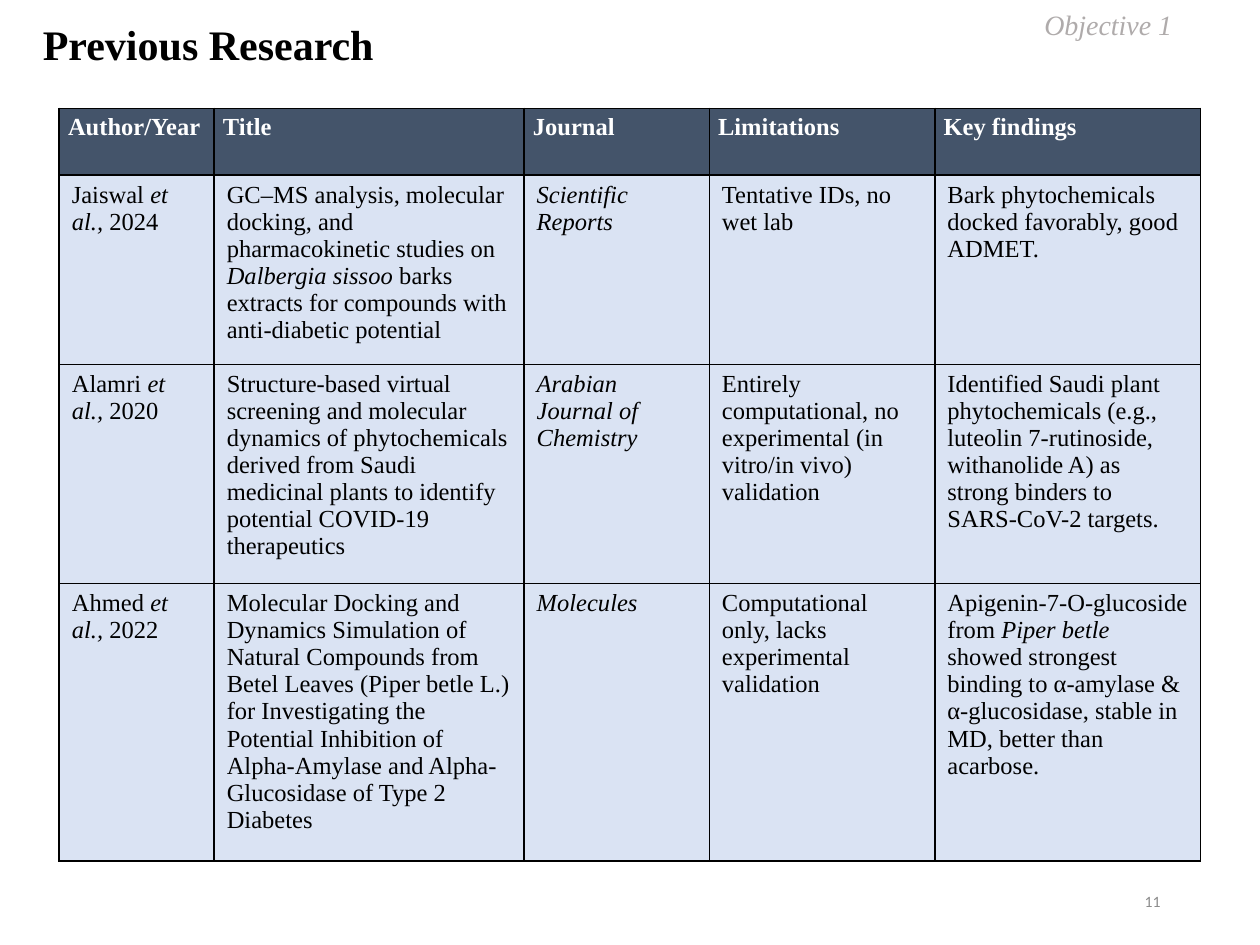
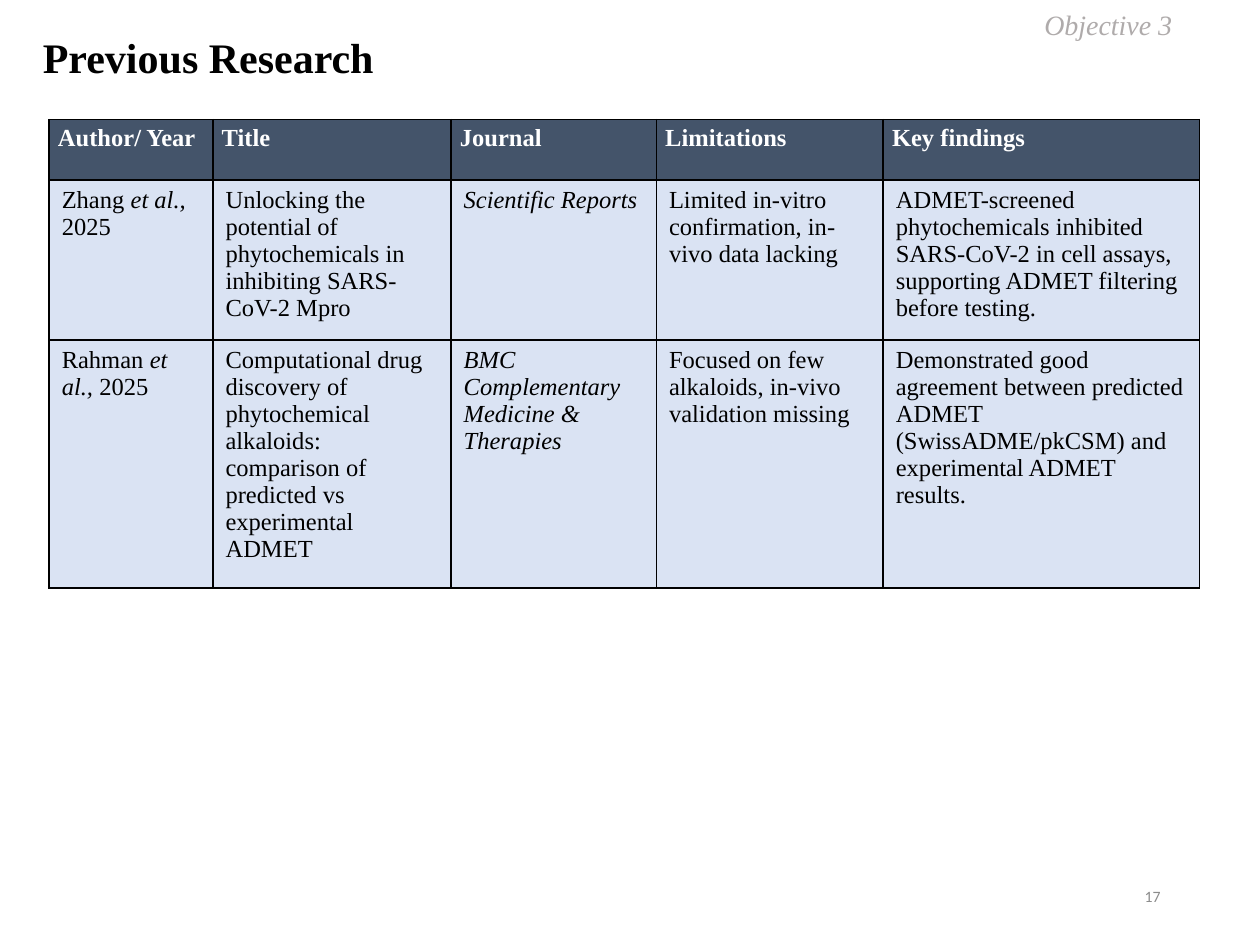
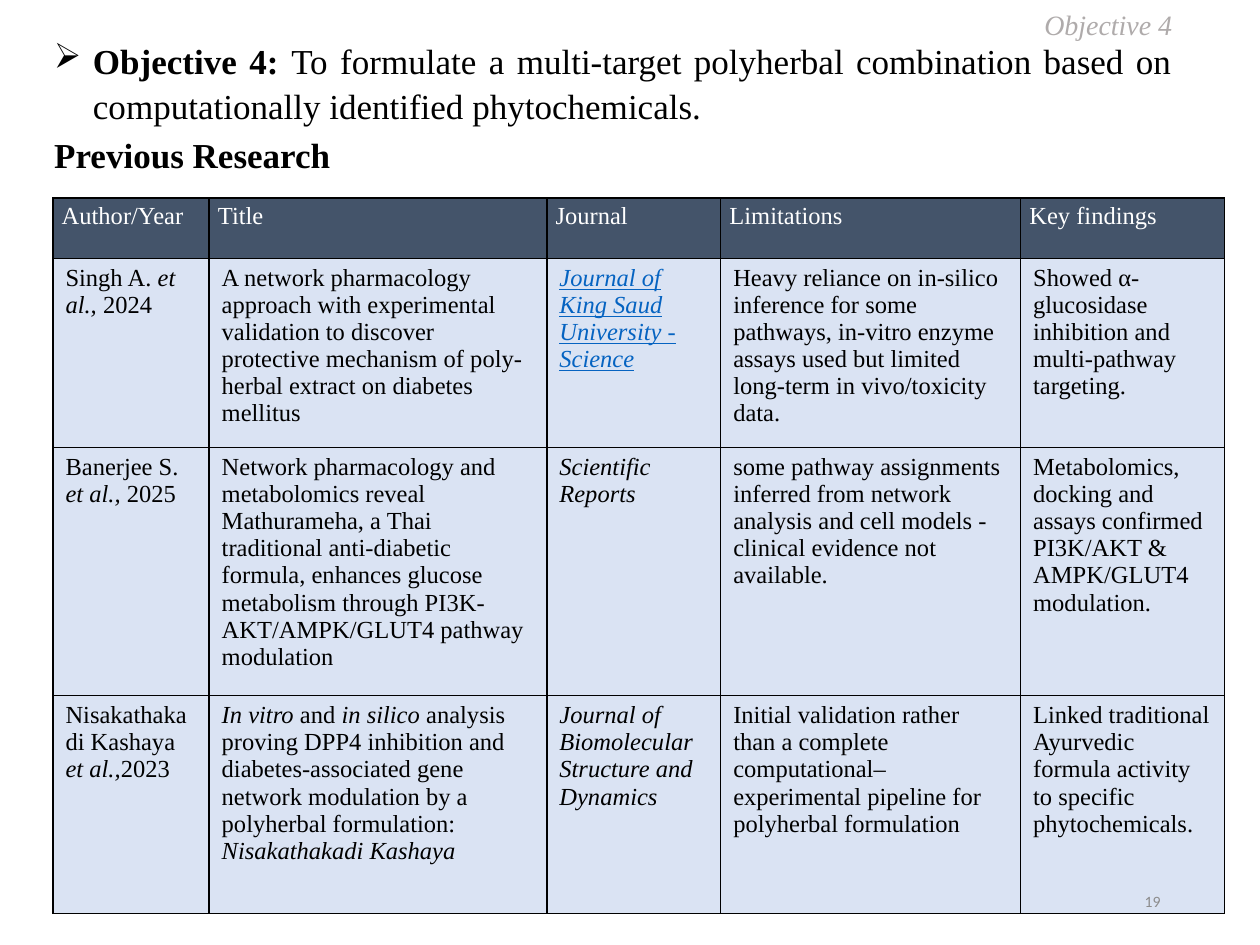
from dataclasses import dataclass

from lxml import etree
from pptx import Presentation
from pptx.dml.color import RGBColor
from pptx.enum.text import MSO_ANCHOR, MSO_AUTO_SIZE, PP_ALIGN
from pptx.oxml.ns import qn
from pptx.util import Inches, Pt

TOP, MIDDLE = MSO_ANCHOR.TOP, MSO_ANCHOR.MIDDLE
LEFT, RIGHT, JUSTIFY = PP_ALIGN.LEFT, PP_ALIGN.RIGHT, PP_ALIGN.JUSTIFY
GROW = MSO_AUTO_SIZE.SHAPE_TO_FIT_TEXT
TITLE_ONLY = 5

# Shared look
SERIF, SANS = "Times New Roman", "Calibri"
BLACK, WHITE, GREY, TAG_GREY = "000000", "FFFFFF", "8C8C8C", "AFABAB"
HEADER_FILL, BODY_FILL, LINK_BLUE = "44546A", "DAE3F3", "0563C1"
HEADER_MARGINS = {"margin_left": 0.07, "margin_right": 0.07, "margin_top": 0.04, "margin_bottom": 0.04}
BODY_MARGINS = {"margin_left": 0.1, "margin_right": 0.1, "margin_top": 0.05, "margin_bottom": 0.05}

BODY = {"name": SERIF, "size": Pt(14), "bold": False, "color": BLACK}
TAG = {"name": SERIF, "size": Pt(16), "italic": True, "color": TAG_GREY}
NUMBER = {"name": SANS, "size": Pt(9), "color": GREY}
OBJECTIVE = {"name": SERIF, "size": Pt(20), "color": BLACK}
# Marks inside cell text and the format each one switches on
MARKS = {"*": {"italic": True}, "^": {"italic": True, "underline": True, "color": LINK_BLUE}}

Box = tuple[float, float, float, float]


@dataclass
class ResearchSlide:
    number: str
    number_top: float
    objective: str
    title_box: Box
    title_size: int
    table_at: tuple[float, float]
    columns: list[float]
    heights: list[float]
    author_head: str
    studies: list[list[str]]
    header_bold: bool = True
    statement: tuple[str, str] | None = None


SLIDES = [
    ResearchSlide(
        "11", 6.95, "Objective 1", (0.24, 0.1, 2.85, 0.5), 24, (0.47, 0.86),
        [1.23, 2.46, 1.47, 1.79, 2.11], [0.53, 1.5, 1.74, 2.2], "Author/Year",
        [
            ["Jaiswal *et al.,* 2024",
             "GC–MS analysis, molecular docking, and pharmacokinetic studies on *Dalbergia sissoo* barks "
             "extracts for compounds with anti-diabetic potential",
             "*Scientific Reports*", "Tentative IDs, no wet lab",
             "Bark phytochemicals docked favorably, good ADMET."],
            ["Alamri *et al.,* 2020",
             "Structure-based virtual screening and molecular dynamics of phytochemicals derived from Saudi "
             "medicinal plants to identify potential COVID-19 therapeutics",
             "*Arabian Journal of Chemistry*",
             "Entirely computational, no experimental (in vitro/in vivo) validation",
             "Identified Saudi plant phytochemicals (e.g., luteolin 7-rutinoside, withanolide A) as strong "
             "binders to SARS-CoV-2 targets."],
            ["Ahmed *et al.,* 2022",
             "Molecular Docking and Dynamics Simulation of Natural Compounds from Betel Leaves (Piper betle L.) "
             "for Investigating the Potential Inhibition of Alpha-Amylase and Alpha-Glucosidase of Type 2 Diabetes",
             "*Molecules*", "Computational only, lacks experimental validation",
             "Apigenin-7-O-glucoside from *Piper betle* showed strongest binding to α-amylase & α-glucosidase, "
             "stable in MD, better than acarbose."],
        ],
    ),
    ResearchSlide(
        "17", 6.91, "Objective 3", (0.24, 0.2, 2.85, 0.5), 24, (0.39, 0.95),
        [1.3, 1.89, 1.63, 1.8, 2.51], [0.48, 1.26, 1.97], "Author/ Year",
        [
            ["Zhang *et al.,* 2025",
             "Unlocking the potential of phytochemicals in inhibiting SARS-CoV-2 Mpro",
             "*Scientific Reports*", "Limited in-vitro confirmation, in-vivo data lacking",
             "ADMET-screened phytochemicals inhibited SARS-CoV-2 in cell assays, supporting ADMET filtering "
             "before testing."],
            ["Rahman *et al.,* 2025",
             "Computational drug discovery of phytochemical alkaloids: comparison of predicted vs experimental ADMET",
             "*BMC Complementary Medicine & Therapies*",
             "Focused on few alkaloids, in-vivo validation missing",
             "Demonstrated good agreement between predicted ADMET (SwissADME/pkCSM) and experimental ADMET results."],
        ],
    ),
    ResearchSlide(
        "19", 6.95, "Objective 4", (0.33, 1.01, 2.41, 0.44), 20, (0.42, 1.57),
        [1.24, 2.68, 1.38, 2.38, 1.62], [0.48, 1.5, 1.97, 1.73], "Author/Year",
        [
            ["Singh A.* et al.,* 2024",
             "A network pharmacology approach with experimental validation to discover protective mechanism of "
             "poly-herbal extract on diabetes mellitus",
             "^Journal of King Saud University - Science^",
             "Heavy reliance on in-silico inference for some pathways, in-vitro enzyme assays used but limited "
             "long-term in vivo/toxicity data.",
             "Showed α-glucosidase inhibition and multi-pathway targeting."],
            ["Banerjee S.* et al.,* 2025",
             "Network pharmacology and metabolomics reveal Mathurameha, a Thai traditional anti-diabetic formula, "
             "enhances glucose metabolism through PI3K-AKT/AMPK/GLUT4 pathway modulation",
             "*Scientific Reports*",
             "some pathway assignments inferred from network analysis and cell models - clinical evidence not "
             "available.",
             "Metabolomics, docking and assays confirmed PI3K/AKT & AMPK/GLUT4 modulation."],
            ["Nisakathakadi Kashaya *et al.,*2023",
             "*In vitro* and *in silico* analysis proving DPP4 inhibition and diabetes-associated gene network "
             "modulation by a polyherbal formulation: *Nisakathakadi Kashaya*",
             "*Journal of Biomolecular Structure and Dynamics*",
             "Initial validation rather than a complete computational–experimental pipeline for polyherbal "
             "formulation",
             "Linked traditional Ayurvedic formula activity to specific phytochemicals."],
        ],
        header_bold=False,
        statement=("Objective 4: ", "To formulate a multi-target polyherbal combination based on "
                                    "computationally identified phytochemicals."),
    ),
]


def rgb(color: str) -> RGBColor:
    return RGBColor.from_string(color)


def add_run(p, text: str, fmt: dict) -> None:
    r = p.add_run()
    r.text = text
    for key, value in fmt.items():
        if key == "color":
            r.font.color.rgb = rgb(value)
        else:
            setattr(r.font, key, value)


def add_marked_text(p, text: str, fmt: dict) -> None:
    """Add runs, switching a format on and off at each mark."""
    mark = next((m for m in MARKS if m in text), "*")
    for i, part in enumerate(text.split(mark)):
        if part:
            add_run(p, part, fmt | MARKS[mark] if i % 2 else fmt)


def add_text(s, box: Box, text: str, fmt: dict, align=LEFT, **frame):
    sp = s.shapes.add_textbox(*map(Inches, box))
    for key, value in frame.items():
        setattr(sp.text_frame, key, value)
    p = sp.text_frame.paragraphs[0]
    p.alignment = align
    add_run(p, text, fmt)
    return p


def add_border(cell) -> None:
    tcPr = cell._tc.get_or_add_tcPr()
    for i, side in enumerate(("lnL", "lnR", "lnT", "lnB")):
        ln = etree.Element(qn(f"a:{side}"), w=str(Pt(1)))
        fill = etree.SubElement(ln, qn("a:solidFill"))
        etree.SubElement(fill, qn("a:srgbClr"), val=BLACK)
        tcPr.insert(i, ln)


def add_title(s, item: ResearchSlide) -> None:
    sp = s.shapes.title
    sp.left, sp.top, sp.width, sp.height = map(Inches, item.title_box)
    tf = sp.text_frame
    for key, value in {"word_wrap": False, "auto_size": GROW, "vertical_anchor": TOP}.items():
        setattr(tf, key, value)
    p = tf.paragraphs[0]
    p.alignment = LEFT
    add_run(p, "Previous Research", {"name": SERIF, "size": Pt(item.title_size), "bold": True, "color": BLACK})


def add_statement(s, label: str, text: str) -> None:
    p = add_text(s, (0.33, 0.24, 9.07, 1.11), label, OBJECTIVE | {"bold": True}, JUSTIFY, word_wrap=True)
    pPr = p._p.get_or_add_pPr()
    pPr.set("marL", str(Inches(0.31)))
    pPr.set("indent", str(Inches(-0.31)))
    etree.SubElement(pPr, qn("a:buChar"), char="➢")
    p.line_spacing = 1.07
    add_run(p, text, OBJECTIVE)


def add_studies(s, item: ResearchSlide) -> None:
    rows = [[item.author_head, "Title", "Journal", "Limitations", "Key findings"], *item.studies]
    size = sum(item.columns), sum(item.heights)
    table = s.shapes.add_table(len(rows), len(item.columns), *map(Inches, item.table_at + size)).table
    for column, width in zip(table.columns, item.columns):
        column.width = Inches(width)
    for row, height in zip(table.rows, item.heights):
        row.height = Inches(height)

    header = BODY | {"bold": item.header_bold, "color": WHITE}
    for i, texts in enumerate(rows):
        fmt, fill, margins = (BODY, BODY_FILL, BODY_MARGINS) if i else (header, HEADER_FILL, HEADER_MARGINS)
        for j, text in enumerate(texts):
            cell = table.cell(i, j)
            for key, value in margins.items():
                setattr(cell, key, Inches(value))
            cell.fill.solid()
            cell.fill.fore_color.rgb = rgb(fill)
            add_border(cell)
            add_marked_text(cell.text_frame.paragraphs[0], text, fmt)


def add_research_slide(prs, item: ResearchSlide) -> None:
    s = prs.slides.add_slide(prs.slide_layouts[TITLE_ONLY])
    add_title(s, item)
    if item.statement:
        add_statement(s, *item.statement)
    add_studies(s, item)
    # Slide number and objective tag
    add_text(s, (7.06, item.number_top, 2.25, 0.4), item.number, NUMBER, RIGHT,
             word_wrap=True, vertical_anchor=MIDDLE)
    add_text(s, (8.19, 0.01, 1.23, 0.37), item.objective, TAG, word_wrap=False, auto_size=GROW)


def main() -> None:
    prs = Presentation()
    prs.slide_width, prs.slide_height = Inches(10), Inches(7.5)
    for item in SLIDES:
        add_research_slide(prs, item)
    prs.save("out.pptx")


if __name__ == "__main__":
    main()
